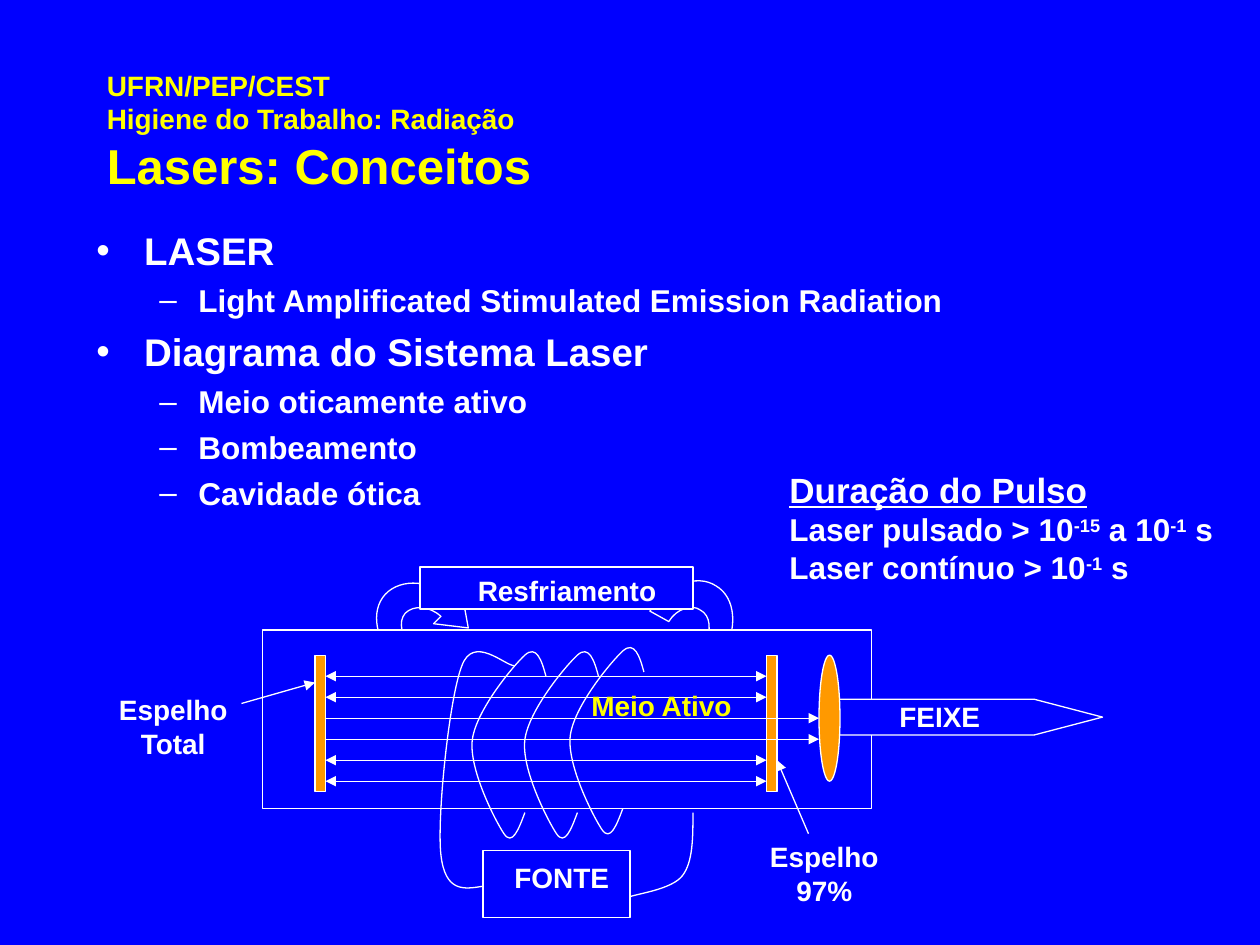
"""Builds the slide on laser concepts with a diagram of the laser system."""
from lxml import etree
from pptx import Presentation, util as u
from pptx.dml.color import RGBColor
from pptx.enum import shapes, text
from pptx.oxml.ns import qn

COLORS = {"back": "0000FF", "ink": "FFFFFF", "accent": "FFFF00", "optic": "FF9900"}
COLUMNS, ROWS = 120, 90
CELL = u.Inches(10) // COLUMNS

TITLE = [[("UFRN/PEP/CEST", 16), ("Higiene do Trabalho: Radiação", 16), ("Lasers: Conceitos", 28)]]
TOPICS = [
    (0, "LASER"),
    (1, "Light Amplificated Stimulated Emission Radiation"),
    (0, "Diagrama do Sistema Laser"),
    (1, "Meio oticamente ativo"),
    (1, "Bombeamento"),
    (1, "Cavidade ótica"),
]
LEVELS = [
    {"bullet": "•", "size": 22, "before": 5.5, "left": 0.38, "hang": 0.38},
    {"bullet": "–", "size": 18, "before": 4.5, "left": 0.81, "hang": 0.31},
]
PULSE = [
    (20, True, [("Duração do Pulso", False)]),
    (18, False, [("Laser pulsado > 10", False), ("-15", True), (" a 10", False), ("-1", True), (" s", False)]),
    (18, False, [("Laser contínuo > 10", False), ("-1", True), (" s", False)]),
]
COOLING_ARROWS = [
    [(67.1, 61.3), (67.8, 60.1), (67.7, 58.6), (66.7, 58.1), (65.9, 57.5), (64.4, 58), (63.7, 59.2),
     (61.9, 58.2), (63.5, 55.7), (66.4, 54.6), (68.2, 55.8), (70.1, 56.9), (70.3, 59.9), (68.8, 62.4),
     (69.6, 62.9), (66.5, 64.1), (66.2, 60.8)],
    [(42, 58.7), (40.9, 57.7), (39.4, 57.6), (38.6, 58.4), (37.9, 59.2), (38.2, 60.7), (39.4, 61.7),
     (37.9, 63.1), (35.8, 61.2), (35.2, 58.2), (36.7, 56.6), (38.2, 55), (41.2, 55.2), (43.3, 57.2),
     (44, 56.5), (44.6, 59.8), (41.3, 59.4)],
]
LEFT_WIRE = [(46, 84.4), (44.2, 84.7), (42.4, 85), (42, 81.4), (41.6, 77.9), (42.8, 66.4), (44, 63.4),
             (45.1, 60.4), (48.1, 63.4), (49, 63.4)]
RIGHT_WIRE = [(66, 77.4), (66, 79.8), (66, 82.1), (65, 83.4), (64, 84.7), (60.8, 85.1), (60, 85.4)]
COIL = [(50, 77.4), (49.4, 79), (48.8, 80.6), (48, 79.4), (47.2, 78.2), (44.6, 73.2), (45, 70.4),
        (45.4, 67.6), (48.9, 63.4), (50, 62.4), (51.1, 61.4), (51.6, 62.9), (52, 64.4)]
COIL_SHIFTS = [(0, 0), (5, 0), (9.33, -0.4)]
BEAM = [(79, 66.6), (98.5, 66.6), (105, 68.3), (98.5, 70), (79, 70)]
RAY_ENDS = [(73, True), (73, True), (78, False), (78, False), (73, True), (73, True)]

deck = Presentation()
deck.slide_width, deck.slide_height = CELL * COLUMNS, CELL * ROWS
slide = deck.slides.add_slide(deck.slide_layouts[6])


def color(name):
    return RGBColor.from_string(COLORS[name])


def grid(*cells):
    return [round(cell * CELL) for cell in cells]


def outline(part, fill=None):
    part.shadow.inherit = False
    if fill:
        part.fill.solid()
        part.fill.fore_color.rgb = color(fill)
    else:
        part.fill.background()
    part.line.color.rgb = color("ink")
    part.line.width = u.Pt(0.75)


def preset(kind, fill, *cells):
    outline(slide.shapes.add_shape(kind, *grid(*cells)), fill)


def trace(points, steps, closed=False, fill=None):
    start, *rest = [grid(*point) for point in points]
    builder = slide.shapes.build_freeform(*start)
    builder.add_line_segments(rest, close=closed)
    part = builder.convert_to_shape()
    outline(part, fill)
    segments = iter(list(part._element.iter(qn("a:lnTo"))))
    for step in steps:
        first = next(segments)
        if step == "C":
            curve = etree.Element(qn("a:cubicBezTo"))
            first.addprevious(curve)
            for segment in (first, next(segments), next(segments)):
                curve.append(segment[0])
                segment.getparent().remove(segment)


def arrow(start, end, both=False):
    line = slide.shapes.add_connector(shapes.MSO_CONNECTOR.STRAIGHT, *grid(*start, *end))
    line.line.color.rgb = color("ink")
    line.line.width = u.Pt(0.75)
    for tag in (["a:headEnd"] if both else []) + ["a:tailEnd"]:
        etree.SubElement(line.line._get_or_add_ln(), qn(tag), type="triangle")
    etree.SubElement(line._element.spPr, qn("a:effectLst"))


def text_box(*cells, grow=False):
    frame = slide.shapes.add_textbox(*grid(*cells)).text_frame
    frame.word_wrap = True
    frame.auto_size = text.MSO_AUTO_SIZE.SHAPE_TO_FIT_TEXT if grow else text.MSO_AUTO_SIZE.NONE
    return frame


def paragraphs(frame, items):
    for index, item in enumerate(items):
        yield (frame.add_paragraph() if index else frame.paragraphs[0]), item


def write(paragraph, words, size, ink="ink"):
    run = paragraph.add_run()
    run.text = words
    run.font.name, run.font.size, run.font.bold = "Arial", u.Pt(size), True
    run.font.color.rgb = color(ink)
    return run


def label(words, *cells, ink="ink"):
    paragraph = text_box(*cells, grow=True).paragraphs[0]
    paragraph.alignment = text.PP_ALIGN.CENTER
    write(paragraph, words, 16, ink)


def add_title():
    frame = text_box(9, 5, 102, 15)
    frame.vertical_anchor = text.MSO_ANCHOR.MIDDLE
    for paragraph, lines in paragraphs(frame, TITLE):
        for index, (words, size) in enumerate(lines):
            if index:
                paragraph.add_line_break()
            write(paragraph, words, size, "accent")


def add_topics():
    for index, (paragraph, (depth, words)) in enumerate(paragraphs(text_box(8, 21, 102, 54), TOPICS)):
        level = LEVELS[depth]
        paragraph.level = depth
        if index:
            paragraph.space_before = u.Pt(level["before"])
        props = paragraph._p.get_or_add_pPr()
        props.set("marL", str(u.Inches(level["left"])))
        props.set("indent", str(-u.Inches(level["hang"])))
        tint = etree.SubElement(props, qn("a:buClr"))
        etree.SubElement(tint, qn("a:srgbClr"), val=COLORS["ink"])
        etree.SubElement(props, qn("a:buFont"), typeface="Arial")
        etree.SubElement(props, qn("a:buChar"), char=level["bullet"])
        write(paragraph, words, level["size"])


def add_pulse():
    for paragraph, (size, underlined, parts) in paragraphs(text_box(74, 44, 46, 12.5, grow=True), PULSE):
        for words, raised in parts:
            font = write(paragraph, words, size).font
            font.underline = underlined
            if raised:
                font._element.set("baseline", "30000")


def add_diagram():
    box, oval = shapes.MSO_SHAPE.RECTANGLE, shapes.MSO_SHAPE.OVAL
    preset(box, "back", 25, 60, 58, 17)
    for mirror in (30, 73):
        preset(box, "optic", mirror, 62.4, 1, 13)
    for row, (end, both) in enumerate(RAY_ENDS):
        height = 64.4 + 2 * row
        arrow((31, height), (end, height), both)
    label("Espelho Total", 9, 65.4, 15, 7.7)
    arrow((23, 67), (30, 65))
    label("Espelho 97%", 71, 79.4, 15, 7.7)
    preset(box, "back", 40, 54, 26, 4)
    label("Resfriamento", 44, 54, 20, 4.4)
    preset(box, "back", 46, 81, 14, 6.4)
    label("FONTE", 47, 81.4, 13, 4.4)
    arrow((77, 79.4), (74, 72.4))
    trace(LEFT_WIRE, "CCC")
    for right, down in COIL_SHIFTS:
        trace([(x + right, y + down) for x, y in COIL], "CCCC")
    trace(RIGHT_WIRE, "CC")
    label("Meio Ativo", 53, 65, 20, 4.4, ink="accent")
    add_pulse()
    trace(BEAM, "LLLL", closed=True, fill="back")
    preset(oval, "optic", 78, 62.4, 2, 12)
    label("FEIXE", 82, 66, 15, 4.4)


slide.background.fill.solid()
slide.background.fill.fore_color.rgb = color("back")
for cooling in COOLING_ARROWS:
    trace(cooling, "CCLCCLLL", closed=True)
add_title()
add_topics()
add_diagram()
deck.save("out.pptx")
